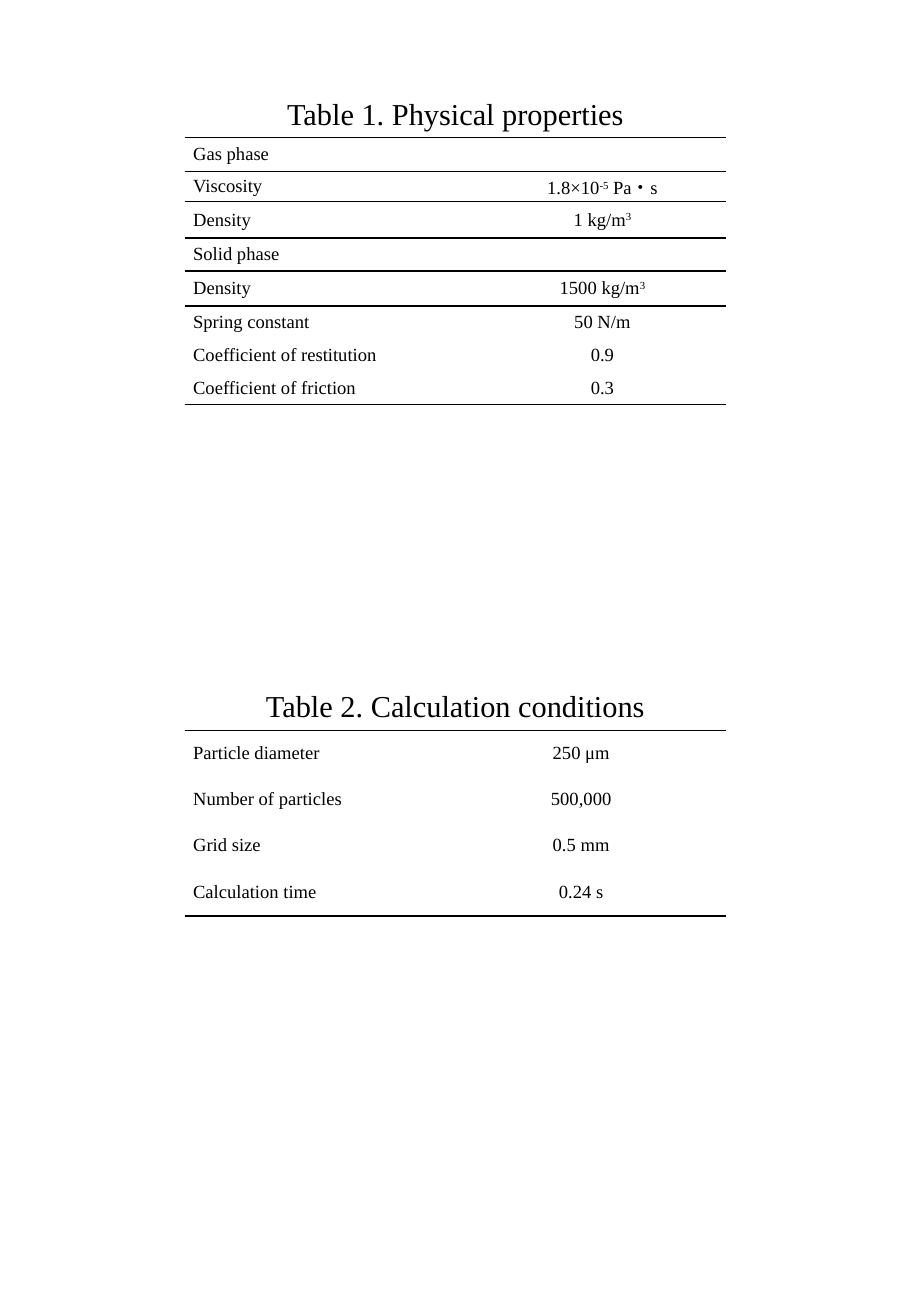
import lxml.etree
import pptx
import pptx.dml.color
import pptx.enum.text
import pptx.oxml.ns
import pptx.util

PX = 9144  # 100 px to the inch
SLIDE_SIZE = (750, 1083)
TABLE_LEFT = 152
CAPTION_LEFT, CAPTION_WIDTH, CAPTION_HEIGHT = 59, 632, 40
FONT = "Times New Roman"
BLACK = pptx.dml.color.RGBColor(0, 0, 0)
PLAIN_STYLE = "{2D5ABB26-0587-4C30-8999-92F81FD0307C}"
CENTER = pptx.enum.text.PP_ALIGN.CENTER
LEFT = pptx.enum.text.PP_ALIGN.LEFT

# Text between ^ marks is superscript; a row with one entry spans both columns.
# A rule number counts row edges from the top of the table.
TABLES = [
    {
        "caption": "Table 1. Physical properties",
        "top": 113,
        "columns": (242, 204),
        "heights": (28, 25, 30, 27, 29, 27, 27, 27),
        "rules": (0, 1, 3, 4, 8),
        "rows": [
            ("Gas phase",),
            ("Viscosity", "1.8×10^-5^ Pa・s"),
            ("Density", "1 kg/m^3^"),
            ("Solid phase",),
            ("Density", "1500 kg/m^3^"),
            ("Spring constant", "50 N/m"),
            ("Coefficient of restitution", "0.9"),
            ("Coefficient of friction", "0.3"),
        ],
    },
    {
        "caption": "Table 2. Calculation conditions",
        "top": 601,
        "columns": (207, 239),
        "heights": (38, 38, 38, 39),
        "rules": (0, 4),
        "rows": [
            ("Particle diameter", "250 μm"),
            ("Number of particles", "500,000"),
            ("Grid size", "0.5 mm"),
            ("Calculation time", "0.24 s"),
        ],
    },
]

CELL_FORMAT = {
    "margin_left": 7 * PX,
    "margin_right": 7 * PX,
    "margin_top": 0,
    "margin_bottom": 0,
    "vertical_anchor": pptx.enum.text.MSO_ANCHOR.MIDDLE,
}
TABLE_FLAGS = {"first_row": False, "horz_banding": False}


def set_format(target, values):
    for key, value in values.items():
        setattr(target, key, value)


def write(paragraph, text, size, alignment):
    paragraph.alignment = alignment
    for index, part in enumerate(text.split("^")):
        if not part:
            continue
        run = paragraph.add_run()
        run.text = part
        set_format(run.font, {"size": pptx.util.Pt(size), "name": FONT})
        run.font.color.rgb = BLACK
        if index % 2:
            run.font._element.set("baseline", "30000")


def add_rule(cell, edge):
    """Draw a 1 pt border; edge is lnT or lnB."""
    qn = pptx.oxml.ns.qn
    properties = cell._tc.get_or_add_tcPr()
    line = lxml.etree.SubElement(properties, qn(f"a:{edge}"), w=str(pptx.util.Pt(1)))
    fill = lxml.etree.SubElement(line, qn("a:solidFill"))
    lxml.etree.SubElement(fill, qn("a:srgbClr"), val=str(BLACK))


def add_property_table(slide, content):
    columns, heights, rows = content["columns"], content["heights"], content["rows"]
    frame = slide.shapes.add_table(
        len(rows), len(columns), TABLE_LEFT * PX, content["top"] * PX,
        sum(columns) * PX, sum(heights) * PX)
    table = frame.table
    set_format(table, TABLE_FLAGS)
    table._tbl.tblPr.find(pptx.oxml.ns.qn("a:tableStyleId")).text = PLAIN_STYLE
    for column, width in zip(table.columns, columns):
        column.width = width * PX
    for r, (entries, height) in enumerate(zip(rows, heights)):
        table.rows[r].height = height * PX
        for c in range(len(columns)):
            cell = table.cell(r, c)
            set_format(cell, CELL_FORMAT)
            for edge, number in (("lnT", r), ("lnB", r + 1)):
                if number in content["rules"]:
                    add_rule(cell, edge)
            cell.fill.background()
        if len(entries) == 1:
            table.cell(r, 0).merge(table.cell(r, len(columns) - 1))
        for c, entry in enumerate(entries):
            paragraph = table.cell(r, c).text_frame.paragraphs[0]
            write(paragraph, entry, 11, CENTER if c else LEFT)


def add_caption(slide, content):
    caption = slide.shapes.add_textbox(
        CAPTION_LEFT * PX, (content["top"] - CAPTION_HEIGHT) * PX,
        CAPTION_WIDTH * PX, CAPTION_HEIGHT * PX).text_frame
    set_format(caption, {
        "word_wrap": True,
        "auto_size": pptx.enum.text.MSO_AUTO_SIZE.SHAPE_TO_FIT_TEXT,
    })
    write(caption.paragraphs[0], content["caption"], 18, CENTER)


def main():
    deck = pptx.Presentation()
    deck.slide_width, deck.slide_height = (length * PX for length in SLIDE_SIZE)
    slide = deck.slides.add_slide(deck.slide_layouts[6])
    for add_part in (add_property_table, add_caption):
        for content in TABLES:
            add_part(slide, content)
    deck.save("out.pptx")


if __name__ == "__main__":
    main()
